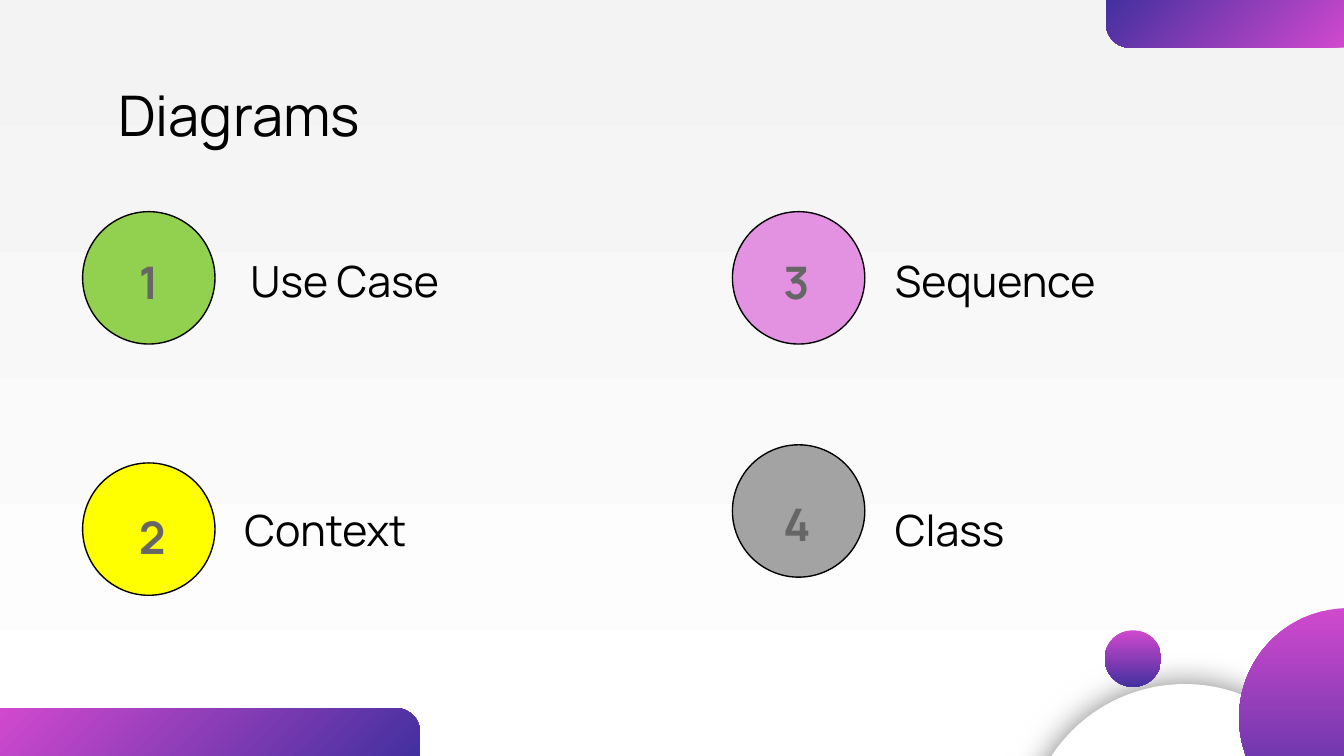
from pptx import Presentation
from pptx import util as u
from pptx.dml.color import RGBColor
from pptx.enum import shapes, text
from pptx.oxml import parse_xml
from pptx.oxml import ns

PX = 4572
FONT = "Manrope"
BLACK = RGBColor(0x00, 0x00, 0x00)
WHITE = RGBColor(0xFF, 0xFF, 0xFF)
PALE = RGBColor(0xF3, 0xF3, 0xF3)
PINK = RGBColor(0xD1, 0x49, 0xCE)
INDIGO = RGBColor(0x43, 0x30, 0x9F)
DARK_GRAY = RGBColor(0x66, 0x66, 0x66)
GREEN = RGBColor(0x92, 0xD0, 0x50)
YELLOW = RGBColor(0xFF, 0xFF, 0x00)
ORCHID = RGBColor(0xE3, 0x92, 0xE2)
GRAY = RGBColor(0xA3, 0xA3, 0xA3)

SOFT_SHADOW = (
    f'<a:effectLst {ns.nsdecls("a")}><a:outerShdw blurRad="{u.Pt(16.9)}" dist="0" dir="0" '
    'algn="ctr" rotWithShape="0"><a:srgbClr val="000000"><a:alpha val="50000"/></a:srgbClr>'
    "</a:outerShdw></a:effectLst>"
)


def emu(*lengths):
    return [u.Emu(length * PX) for length in lengths]


def paint_gradient(fill, start, end, clockwise):
    fill.gradient()
    fill.gradient_angle = 360 - clockwise
    for stop, color in zip(fill.gradient_stops, (start, end)):
        stop.color.rgb = color


def add_plain_shape(slide, kind, box):
    shape = slide.shapes.add_shape(kind, *emu(*box))
    shape.shadow.inherit = False
    shape.line.fill.background()
    return shape


def add_gradient_circle(slide, left, top, size):
    circle = add_plain_shape(slide, shapes.MSO_SHAPE.OVAL, (left, top, size, size))
    paint_gradient(circle.fill, PINK, INDIGO, 90)


def add_corner_bar(slide, box, rotation):
    bar = add_plain_shape(slide, shapes.MSO_SHAPE.ROUND_1_RECTANGLE, box)
    bar.adjustments[0] = 0.5
    bar.rotation = rotation
    paint_gradient(bar.fill, PINK, INDIGO, 45)


def add_corner_circles(slide, left, top):
    disc = add_plain_shape(slide, shapes.MSO_SHAPE.OVAL, (left, top + 113, 474, 474))
    disc.fill.solid()
    disc.fill.fore_color.rgb = WHITE
    properties = disc.element.spPr
    properties.remove(properties.find(ns.qn("a:effectLst")))
    properties.append(parse_xml(SOFT_SHADOW))
    add_gradient_circle(slide, left + 318, top, 326)
    add_gradient_circle(slide, left + 118, top + 33, 84)


def write_text(shape, words, size, color, anchor, bold=False):
    frame = shape.text_frame
    frame.text = words
    frame.word_wrap = True
    frame.auto_size = text.MSO_AUTO_SIZE.NONE
    frame.vertical_anchor = anchor
    frame.margin_left, frame.margin_top, frame.margin_right, frame.margin_bottom = emu(20, 20, 20, 20)
    paragraph = frame.paragraphs[0]
    paragraph.alignment = text.PP_ALIGN.LEFT
    font = paragraph.runs[0].font
    font.name, font.size, font.bold = FONT, u.Pt(size), bold
    font.color.rgb = color
    return paragraph


def add_title(slide, words, box):
    title = slide.shapes.title
    title.left, title.top, title.width, title.height = emu(*box)
    write_text(title, words, 30, BLACK, text.MSO_ANCHOR.MIDDLE)


def add_topic(slide, left, top, number, number_at, label, label_at, color):
    circle = add_plain_shape(slide, shapes.MSO_SHAPE.OVAL, (left, top, 197, 197))
    circle.fill.solid()
    circle.fill.fore_color.rgb = color
    circle.line.color.rgb = BLACK
    circle.line.width = u.Pt(0.75)

    label_box = slide.shapes.add_textbox(*emu(left + label_at[0], top + label_at[1], 524, 78))
    write_text(label_box, label, 23, BLACK, text.MSO_ANCHOR.MIDDLE)

    number_box = slide.shapes.add_textbox(*emu(left + number_at[0], top + number_at[1], 148, 96))
    paragraph = write_text(number_box, number, 24, DARK_GRAY, text.MSO_ANCHOR.TOP, bold=True)
    properties = paragraph._p.get_or_add_pPr()
    properties.set("marL", str(100 * PX))
    properties.set("indent", str(-70 * PX))


def main():
    presentation = Presentation()
    presentation.slide_width, presentation.slide_height = emu(2000, 1125)
    slide = presentation.slides.add_slide(presentation.slide_layouts[5])
    paint_gradient(slide.background.fill, WHITE, PALE, 270)

    add_corner_bar(slide, (0, 1054, 625, 71), 0)
    add_corner_bar(slide, (1646, 0, 354, 71), 180)
    add_corner_circles(slide, 1526, 905)
    add_title(slide, "Diagrams", (156, 118, 1688, 104))

    topics = [
        (123, 315, "1", (34, 44), "Use Case", (230, 63), GREEN),
        (123, 689, "2", (34, 50), "Context", (221, 60), YELLOW),
        (1090, 315, "3", (26, 44), "Sequence", (222, 63), ORCHID),
        (1090, 662, "4", (26, 57), "Class", (222, 87), GRAY),
    ]
    for topic in topics:
        add_topic(slide, *topic)

    presentation.save("out.pptx")


if __name__ == "__main__":
    main()
